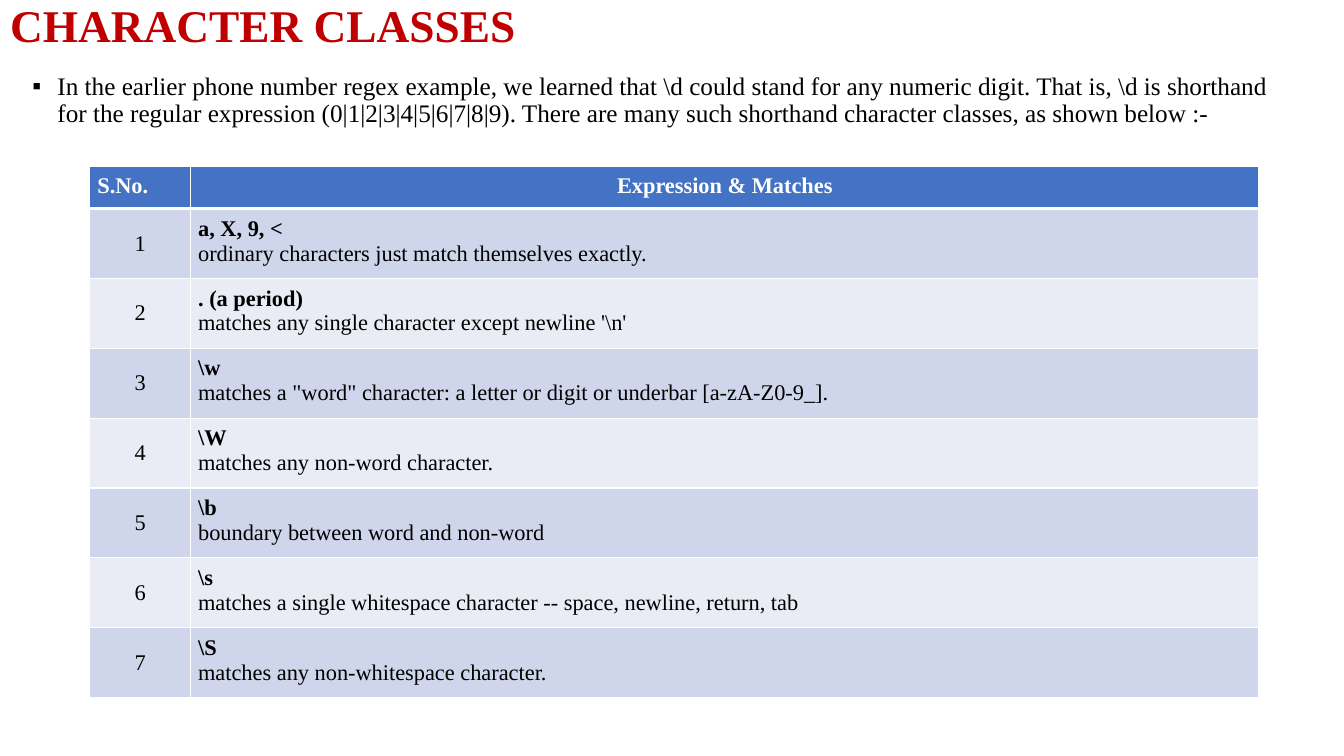
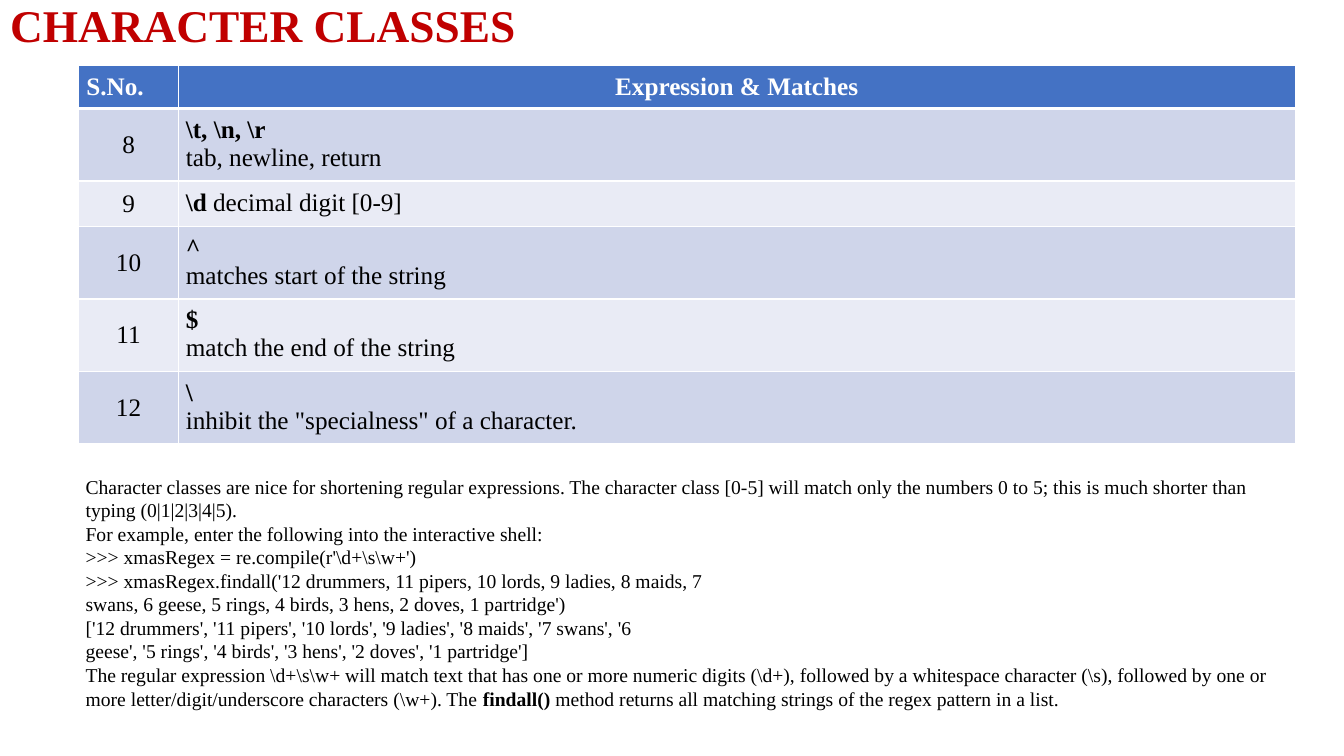
from lxml.etree import SubElement
from pptx import Presentation
from pptx.dml.color import RGBColor
from pptx.enum.text import MSO_ANCHOR as Anchor, MSO_AUTO_SIZE as AutoSize, PP_ALIGN as Align
from pptx.oxml import parse_xml
from pptx.oxml.ns import nsdecls, qn
from pptx.util import Inches, Pt

COLORS = {
    "title": "C00000",
    "ink": "000000",
    "white": "FFFFFF",
    "header": "4472C4",
    "odd": "CFD5EA",
    "even": "E9EBF5",
}
FONT = "Times New Roman"

deck = Presentation()
deck.slide_width, deck.slide_height = Inches(13.33), Inches(7.5)
COL, ROW = deck.slide_width / 100, deck.slide_height / 100


def write(frame, text, size=18, color="ink", bold=False, align=Align.LEFT,
          anchor=Anchor.TOP, spacing=None, before=0):
    frame.word_wrap = True
    frame.vertical_anchor = anchor
    for number, line in enumerate(text.split("\n")):
        paragraph = frame.add_paragraph() if number else frame.paragraphs[0]
        paragraph.alignment = align
        paragraph.space_before = Pt(before)
        if spacing:
            paragraph.line_spacing = spacing
        for index, part in enumerate(line.split("**")):
            if part:
                run = paragraph.add_run()
                run.text = part
                run.font.name, run.font.size = FONT, Pt(size)
                run.font.bold = bold or index % 2 == 1
                run.font.color.rgb = RGBColor.from_string(COLORS[color])


def place(shape, left, top, width, height):
    shape.left, shape.width = int(left * COL), int(width * COL)
    shape.top, shape.height = int(top * ROW), int(height * ROW)


pages = [
    {
        "layout": 1, "corner": (6.68, 22), "columns": (7.5, 79.5), "size": 16,
        "header": 5.6, "single": 5.6, "double": 9.24, "first": 1,
        "classes": [
            "**a, X, 9, <**\nordinary characters just match themselves exactly.",
            "**. (a period)**\nmatches any single character except newline '\\n'",
            "**\\w**\nmatches a \"word\" character: a letter or digit or underbar [a-zA-Z0-9_].",
            "**\\W**\nmatches any non-word character.",
            "**\\b**\nboundary between word and non-word",
            "**\\s**\nmatches a single whitespace character -- space, newline, return, tab",
            "**\\S**\nmatches any non-whitespace character.",
        ],
    },
    {
        "layout": 5, "corner": (5.87, 8.6), "columns": (7.4, 83.1), "size": 18,
        "header": 5.75, "single": 6, "double": 9.6, "first": 8,
        "classes": [
            "**\\t, \\n, \\r**\ntab, newline, return",
            "**\\d **decimal digit [0-9]",
            "**^**\nmatches start of the string",
            "**$**\nmatch the end of the string",
            "**\\**\ninhibit the \"specialness\" of a character.",
        ],
    },
]

slides = []
for page in pages:
    slide = deck.slides.add_slide(deck.slide_layouts[page["layout"]])
    slides.append(slide)
    title = slide.shapes.title
    place(title, 0, 0, 89.5, 7.47)
    title.text_frame.auto_size = AutoSize.NONE
    write(title.text_frame, "CHARACTER CLASSES", size=32.4, color="title", bold=True,
          anchor=Anchor.MIDDLE, spacing=0.9)

    heights = [page["header"]] + [
        page["double" if "\n" in entry else "single"] for entry in page["classes"]]
    left, top = page["corner"]
    classes = slide.shapes.add_table(
        len(heights), 2, int(left * COL), int(top * ROW),
        int(sum(page["columns"]) * COL), int(sum(heights) * ROW)).table
    for column, width in zip(classes.columns, page["columns"]):
        column.width = int(width * COL)
    for row, height in zip(classes.rows, heights):
        row.height = int(height * ROW)

    heading = {"size": page["size"], "color": "white", "bold": True}
    write(classes.cell(0, 0).text_frame, "S.No.", **heading)
    write(classes.cell(0, 1).text_frame, "Expression & Matches", align=Align.CENTER, **heading)
    for number, entry in enumerate(page["classes"], 1):
        serial = classes.cell(number, 0)
        write(serial.text_frame, str(page["first"] + number - 1), size=page["size"],
              align=Align.CENTER)
        serial.vertical_anchor = Anchor.MIDDLE
        write(classes.cell(number, 1).text_frame, entry, size=page["size"], align=Align.JUSTIFY)

    for number, row in enumerate(classes.rows):
        shade = "header" if number == 0 else "odd" if number % 2 else "even"
        for cell in row.cells:
            cell.margin_left = cell.margin_right = Pt(5.4)
            cell.margin_top = cell.margin_bottom = Pt(5.4)
            cell.fill.solid()
            cell.fill.fore_color.rgb = RGBColor.from_string(COLORS[shade])
            thick = {0: "lnB", 1: "lnT"}.get(number)
            for position, side in enumerate(("lnL", "lnR", "lnT", "lnB")):
                weight = Pt(3 if side == thick else 1)
                border = parse_xml(
                    f'<a:{side} {nsdecls("a")} w="{weight}"><a:solidFill>'
                    f'<a:srgbClr val="{COLORS["white"]}"/></a:solidFill></a:{side}>')
                cell._tc.get_or_add_tcPr().insert(position, border)

intro = slides[0].placeholders[1]
place(intro, 1.65, 9.07, 95.85, 86.67)
intro.text_frame.auto_size = AutoSize.NONE
write(intro.text_frame,
      "In the earlier phone number regex example, we learned that \\d could stand for any "
      "numeric digit. That is, \\d is shorthand for the regular expression "
      "(0|1|2|3|4|5|6|7|8|9). There are many such shorthand character classes, as shown below :-",
      spacing=0.9, before=10)
bullet = intro.text_frame.paragraphs[0]._p.get_or_add_pPr()
bullet.set("marL", str(Inches(0.25)))
bullet.set("indent", str(-Inches(0.25)))
SubElement(bullet, qn("a:buChar")).set("char", "▪")

example = slides[1].shapes.add_textbox(0, 0, 0, 0)
place(example, 5.63, 62.13, 90.8, 32.8)
write(example.text_frame, "\n".join([
    "Character classes are nice for shortening regular expressions. The character class [0-5] "
    "will match only the numbers 0 to 5; this is much shorter than typing (0|1|2|3|4|5).",
    "For example, enter the following into the interactive shell:",
    ">>> xmasRegex = re.compile(r'\\d+\\s\\w+')",
    ">>> xmasRegex.findall('12 drummers, 11 pipers, 10 lords, 9 ladies, 8 maids, 7",
    "swans, 6 geese, 5 rings, 4 birds, 3 hens, 2 doves, 1 partridge')",
    "['12 drummers', '11 pipers', '10 lords', '9 ladies', '8 maids', '7 swans', '6",
    "geese', '5 rings', '4 birds', '3 hens', '2 doves', '1 partridge']",
    "The regular expression \\d+\\s\\w+ will match text that has one or more numeric digits "
    "(\\d+), followed by a whitespace character (\\s), followed by one or more "
    "letter/digit/underscore characters (\\w+). The **findall()** method returns all matching "
    "strings of the regex pattern in a list.",
]), size=14)

deck.save("out.pptx")
